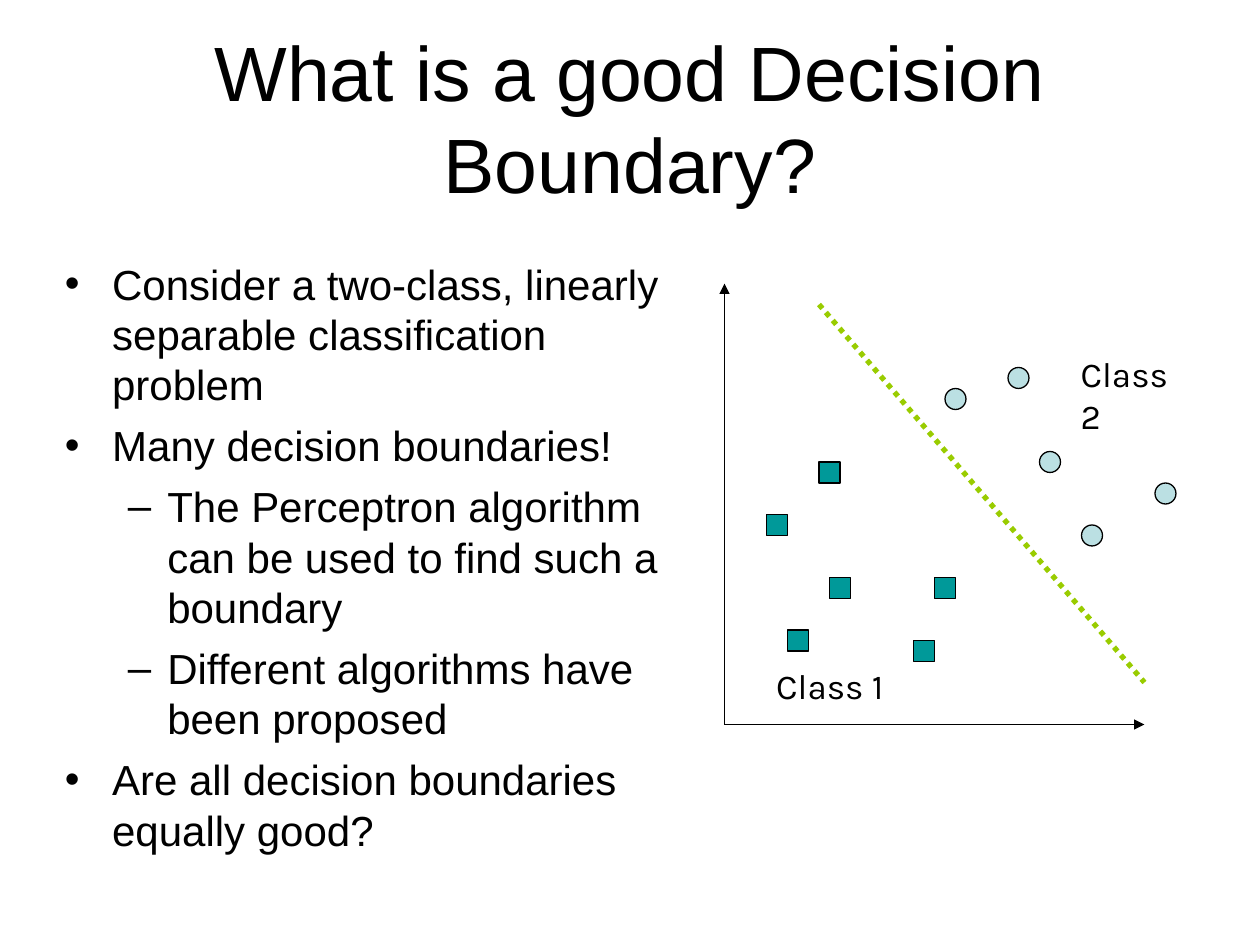
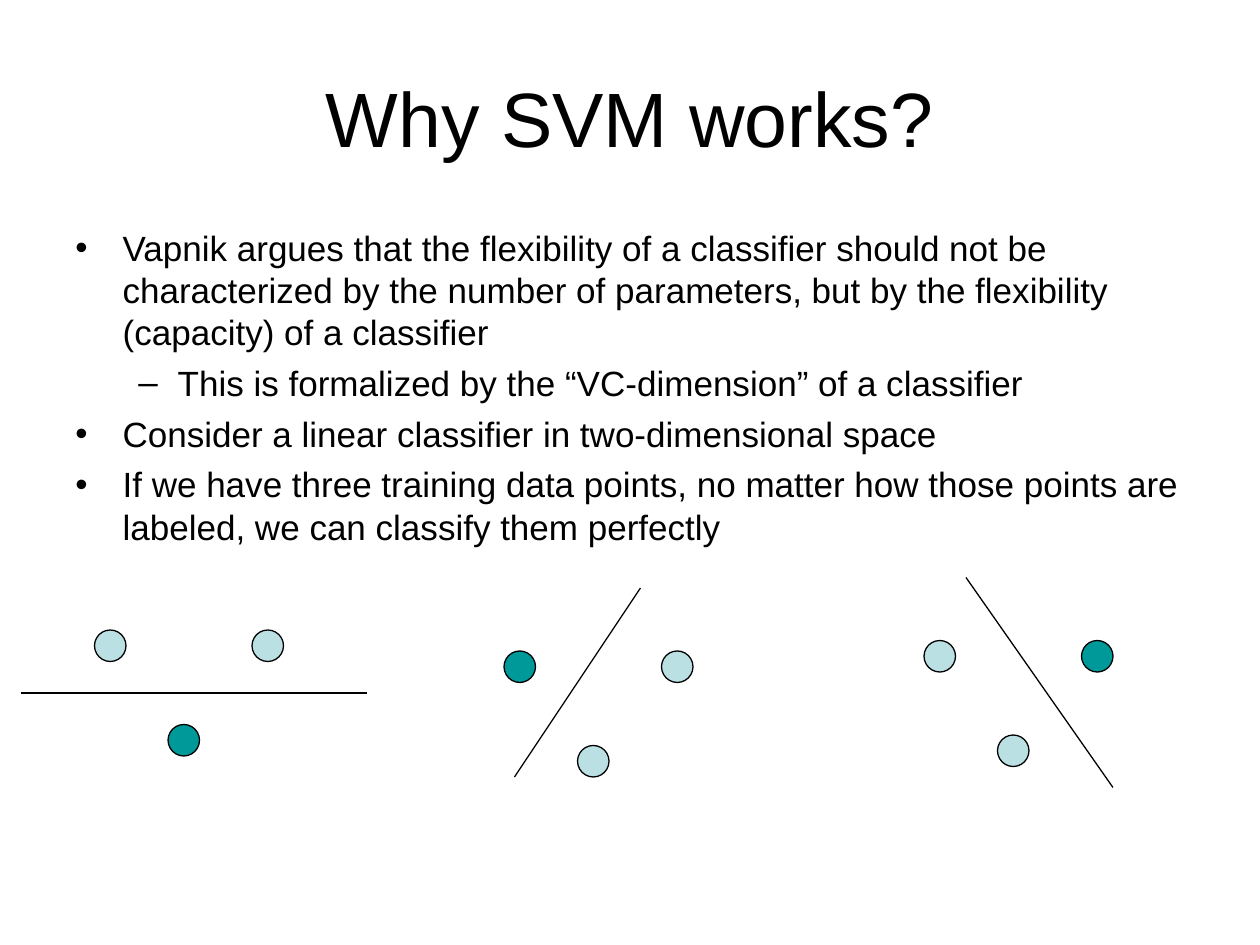
"""Builds two slides on decision boundaries and on why SVM works."""
import lxml.etree
import pptx
import pptx.dml.color
import pptx.enum.dml
import pptx.enum.shapes
import pptx.enum.text
import pptx.oxml.ns
import pptx.util

Pt = pptx.util.Pt
qn = pptx.oxml.ns.qn
OVAL = pptx.enum.shapes.MSO_SHAPE.OVAL
SQUARE = pptx.enum.shapes.MSO_SHAPE.RECTANGLE
COLOURS = {"ink": "000000", "teal": "009999", "pale": "BBE0E3", "lime": "99CC00"}
LINE_HEIGHT = 1.2
BULLETS = [("•", 27, -27), ("–", 58.5, -22.5)]

BOUNDARY_POINTS = [
    (0, "Consider a two-class, linearly separable classification problem"),
    (0, "Many decision boundaries!"),
    (1, "The Perceptron algorithm can be used to find such a boundary"),
    (1, "Different algorithms have been proposed"),
    (0, "Are all decision boundaries equally good?"),
]
SVM_POINTS = [
    (0, "Vapnik argues that the flexibility of a classifier should not be characterized "
        "by the number of parameters, but by the flexibility (capacity) of a classifier"),
    (1, "This is formalized by the “VC-dimension” of a classifier"),
    (0, "Consider a linear classifier in two-dimensional space"),
    (0, "If we have three training data points, no matter how those points are labeled, "
        "we can classify them perfectly"),
]
CLASS_1 = [(438, 294), (534, 330), (522, 366), (474, 330), (450, 360), (468, 264)]
CLASS_2 = [(576, 210), (594, 258), (660, 276), (540, 222), (618, 300)]
TRIANGLE = [(0, 0), (90, 0), (42, 54)]
LABELINGS = [
    ((54, 360), 2, (12, 396), (210, 396)),
    ((288, 372), 0, (294, 444), (366, 336)),
    ((528, 366), 1, (552, 330), (636, 450)),
]


def colour(name):
    return pptx.dml.color.RGBColor.from_string(COLOURS[name])


def style_paragraph(para, size, font="Arial"):
    para.line_spacing = Pt(size * LINE_HEIGHT)
    para.font.size = Pt(size)
    para.font.name = font
    para.font.color.rgb = colour("ink")


def add_titled_slide(deck, text):
    slide = deck.slides.add_slide(deck.slide_layouts[5])
    title = slide.shapes.title
    title.left, title.top, title.width, title.height = Pt(36), Pt(21.6), Pt(648), Pt(90)
    frame = title.text_frame
    frame.text = text
    frame.auto_size = pptx.enum.text.MSO_AUTO_SIZE.NONE
    frame.vertical_anchor = pptx.enum.text.MSO_ANCHOR.MIDDLE
    frame.paragraphs[0].alignment = pptx.enum.text.PP_ALIGN.CENTER
    style_paragraph(frame.paragraphs[0], 44)
    return slide


def add_text_frame(slide, left, top, width, height):
    box = slide.shapes.add_textbox(Pt(left), Pt(top), Pt(width), Pt(height))
    box.text_frame.word_wrap = True
    return box.text_frame


def add_bullet(para, level):
    character, margin, indent = BULLETS[level]
    properties = para._p.get_or_add_pPr()
    properties.set("marL", str(Pt(margin)))
    properties.set("indent", str(Pt(indent)))
    para.level = level
    lxml.etree.SubElement(properties, qn("a:buFont"), typeface="Arial")
    lxml.etree.SubElement(properties, qn("a:buChar"), char=character)


def add_bullet_list(slide, points, place, size, gap):
    frame = add_text_frame(slide, *place)
    for index, (level, text) in enumerate(points):
        para = frame.add_paragraph() if index else frame.paragraphs[0]
        para.text = text
        add_bullet(para, level)
        if index:
            para.space_before = Pt(gap)
        style_paragraph(para, size)


def add_label(slide, text, left, top):
    para = add_text_frame(slide, left, top, 79.2, 31.7).paragraphs[0]
    para.text = text
    style_paragraph(para, 20, "Karla")


def add_marker(slide, kind, left, top, size, fill):
    marker = slide.shapes.add_shape(kind, Pt(left), Pt(top), Pt(size), Pt(size))
    marker.shadow.inherit = False
    marker.fill.solid()
    marker.fill.fore_color.rgb = colour(fill)
    marker.line.color.rgb = colour("ink")
    marker.line.width = Pt(0.75)


def add_line(slide, start, end, width=0.75, ink="ink"):
    line = slide.shapes.add_connector(
        pptx.enum.shapes.MSO_CONNECTOR.STRAIGHT, *map(Pt, start + end))
    line.line.color.rgb = colour(ink)
    line.line.width = Pt(width)
    lxml.etree.SubElement(line._element.spPr, qn("a:effectLst"))
    return line


def add_axis(slide, start, end):
    axis = add_line(slide, start, end, 1)
    lxml.etree.SubElement(axis.line._get_or_add_ln(), qn("a:tailEnd"), type="triangle")


def build_boundary_slide(deck):
    slide = add_titled_slide(deck, "What is a good Decision Boundary?")
    add_bullet_list(slide, BOUNDARY_POINTS, (30, 144, 372, 366), 24, 6)
    origin = (414, 414)
    add_axis(slide, origin, (414, 162))
    add_axis(slide, origin, (654, 414))
    for left, top in CLASS_2:
        add_marker(slide, OVAL, left, top, 12, "pale")
    for left, top in CLASS_1:
        add_marker(slide, SQUARE, left, top, 12, "teal")
    add_label(slide, "Class 1", 436.5, 376)
    add_label(slide, "Class 2", 610.5, 198)
    boundary = add_line(slide, (468, 174), (654, 390), 3, "lime")
    boundary.line.dash_style = pptx.enum.dml.MSO_LINE.ROUND_DOT


def build_svm_slide(deck):
    slide = add_titled_slide(deck, "Why SVM works?")
    add_bullet_list(slide, SVM_POINTS, (36, 126, 648, 356), 20, 5)
    for (left, top), odd_one, start, end in LABELINGS:
        for index, (across, down) in enumerate(TRIANGLE):
            fill = "teal" if index == odd_one else "pale"
            add_marker(slide, OVAL, left + across, top + down, 18, fill)
        add_line(slide, start, end)


def main():
    deck = pptx.Presentation()
    deck.slide_width, deck.slide_height = Pt(720), Pt(540)
    build_boundary_slide(deck)
    build_svm_slide(deck)
    deck.save("out.pptx")


if __name__ == "__main__":
    main()
